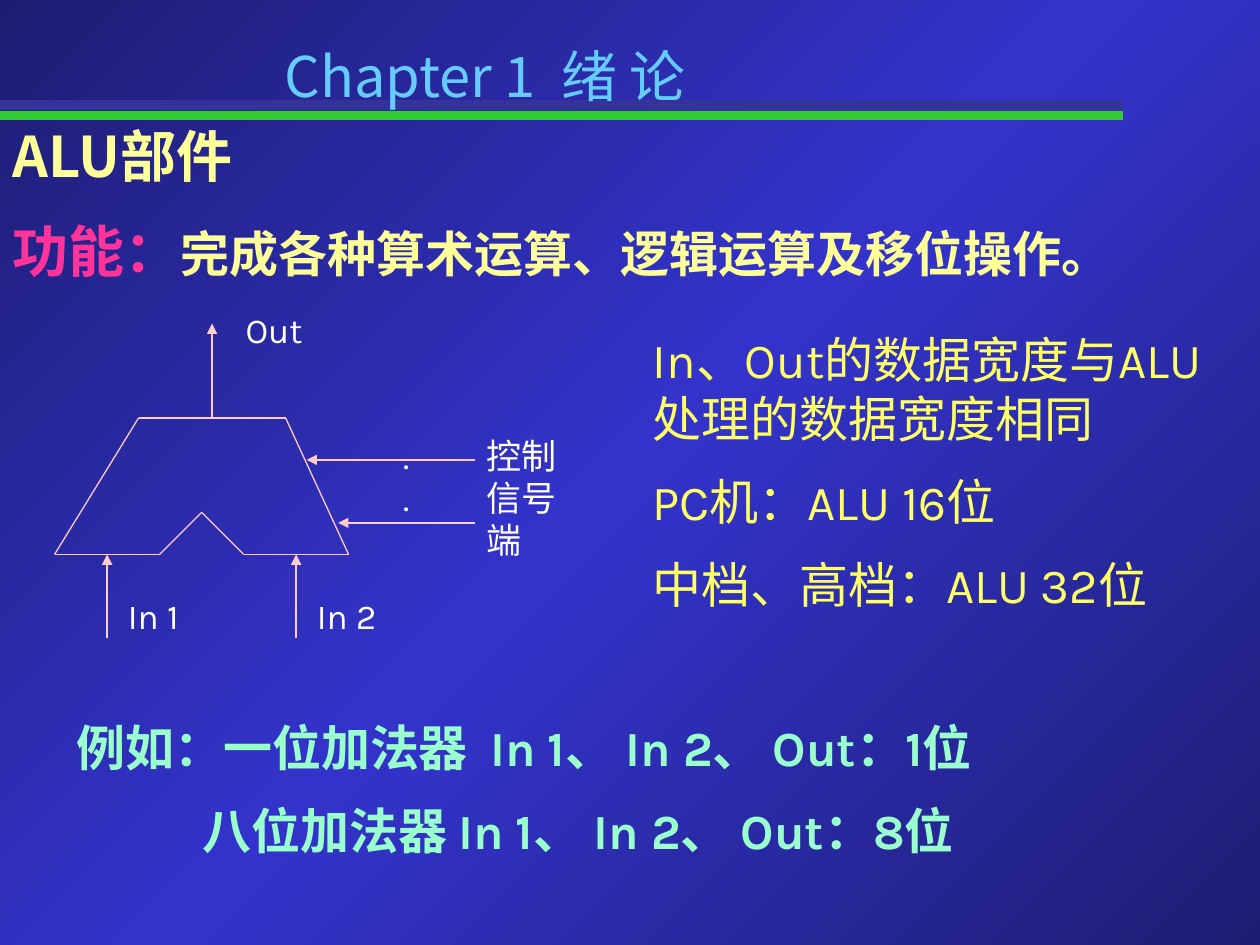
from copy import deepcopy
from lxml import etree
from pptx import Presentation
from pptx.dml.color import RGBColor
from pptx.enum.shapes import MSO_CONNECTOR
from pptx.oxml.ns import qn
from pptx.util import Inches, Pt

STRAIGHT = MSO_CONNECTOR.STRAIGHT
NAVY = RGBColor(0x1D, 0x1D, 0x72)
BLUE = RGBColor(0x33, 0x33, 0xCC)
GREEN = RGBColor(0x33, 0xCC, 0x33)
INDIGO = RGBColor(0x33, 0x33, 0x99)
ROSE = RGBColor(0xFF, 0xCC, 0xCC)
PINK = RGBColor(0xFF, 0x33, 0x99)
CREAM = RGBColor(0xFF, 0xFF, 0x99)
YELLOW = RGBColor(0xFF, 0xFF, 0x66)
MINT = RGBColor(0x99, 0xFF, 0xCC)
SKY = RGBColor(0x66, 0xCC, 0xFF)
WHITE = RGBColor(0xFF, 0xFF, 0xFF)
NOTO = "Noto Sans CJK SC"
KARLA = "Karla"

deck = Presentation()
deck.slide_width, deck.slide_height = Inches(10), Inches(7.5)
CELL = deck.slide_width / 120
slide = deck.slides.add_slide(deck.slide_layouts[6])


def write(paras, box, size=20, font=KARLA, color=WHITE, bold=False, indent=0):
    frame = slide.shapes.add_textbox(*(round(n * CELL) for n in box)).text_frame
    frame.word_wrap = True
    for i, runs in enumerate(paras):
        para = frame.paragraphs[0] if i == 0 else frame.add_paragraph()
        para.line_spacing = Pt(size * 1.2)
        if i:
            para.space_before = Pt(size / 2)
            para._p.get_or_add_pPr().set("marL", str(round(indent * CELL)))
        for words, tint, points in [(runs, color, size)] if isinstance(runs, str) else runs:
            run = para.add_run()
            run.text = words
            run.font.name = font
            run.font.size = Pt(points)
            run.font.bold = bold
            run.font.color.rgb = tint
            east = etree.SubElement(run._r.get_or_add_rPr(), qn("a:ea"))
            east.set("typeface", NOTO)


def draw(start, end, color=ROSE, width=0.75, arrow=False):
    ends = [round(n * CELL) for n in (*start, *end)]
    line = slide.shapes.add_connector(STRAIGHT, *ends)
    line.line.color.rgb = color
    line.line.width = Pt(width)
    if arrow:
        etree.SubElement(line.line._get_or_add_ln(), qn("a:tailEnd")).set("type", "triangle")
    etree.SubElement(line._element.spPr, qn("a:effectLst"))


fill = slide.background.fill
fill.gradient()
fill.gradient_angle = 315
stops = fill.gradient_stops
for stop, tint in zip(stops, (NAVY, BLUE)):
    stop.color.rgb = tint
first, mid = (stop._gs for stop in stops)
mid.set("pos", "50000")
last = deepcopy(first)
last.set("pos", "100000")
mid.addnext(last)

for row, tint in ((11, GREEN), (10, INDIGO)):
    draw((0, row), (107, row), color=tint, width=5.5)

write(
    ["ALU部件", [("功能：", PINK, 32), ("完成各种算术运算、逻辑运算及移位操作。", CREAM, 28)]],
    (0, 11, 116.8, 17.2), size=32, font=NOTO, color=CREAM, bold=True,
)

TOP, BASE = 39.8, 52.8
edge = [(13.2, TOP), (27.2, TOP), (33.2, BASE), (23.2, BASE),
        (19.2, BASE - 4), (15.2, BASE), (5.2, BASE)]
for start, end in zip(edge, edge[1:] + edge[:1]):
    draw(start, end)

for col in (10.2, 28.2):
    draw((col, BASE + 8), (col, BASE), arrow=True)
draw((20.2, TOP), (20.2, TOP - 9), arrow=True)
for col, row in ((29.2, TOP + 4), (32.2, TOP + 10)):
    draw((45.2, row), (col, row), arrow=True)

for words, box in (
    ("In 1", (11, 56, 9, 5.2)),
    ("In 2", (29, 56, 11, 5.2)),
    ("Out", (22.2, 28.8, 10, 5.2)),
    ("控制信号端", (45.2, 40.8, 12, 13.2)),
    ("..", (37.2, 40.8, 3, 9.2)),
):
    write([words], box)

write(
    ["In、Out的数据宽度与ALU处理的数据宽度相同", "PC机：ALU 16位", "中档、高档：ALU 32位"],
    (61, 30.8, 59, 29.3), size=28, color=YELLOW,
)
write(
    ["例如：一位加法器  In 1、 In 2、 Out：1位", "八位加法器 In 1、 In 2、 Out：8位"],
    (6.1, 67.7, 100, 15.2), size=28, color=MINT, bold=True, indent=12,
)
write(["Chapter 1  绪 论"], (25.9, 3.4, 63, 7.6), size=32, font=NOTO, color=SKY)

deck.save("out.pptx")
